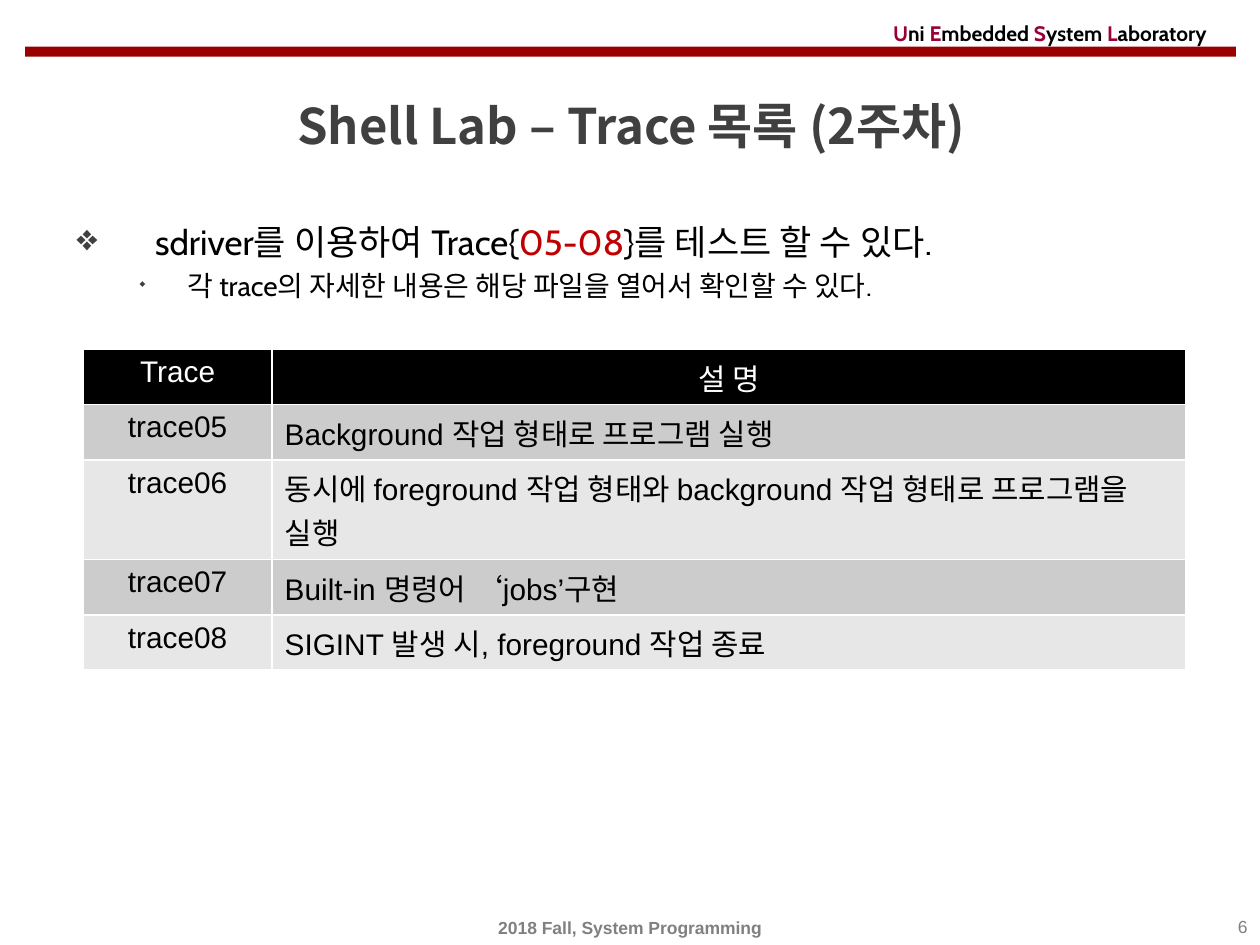
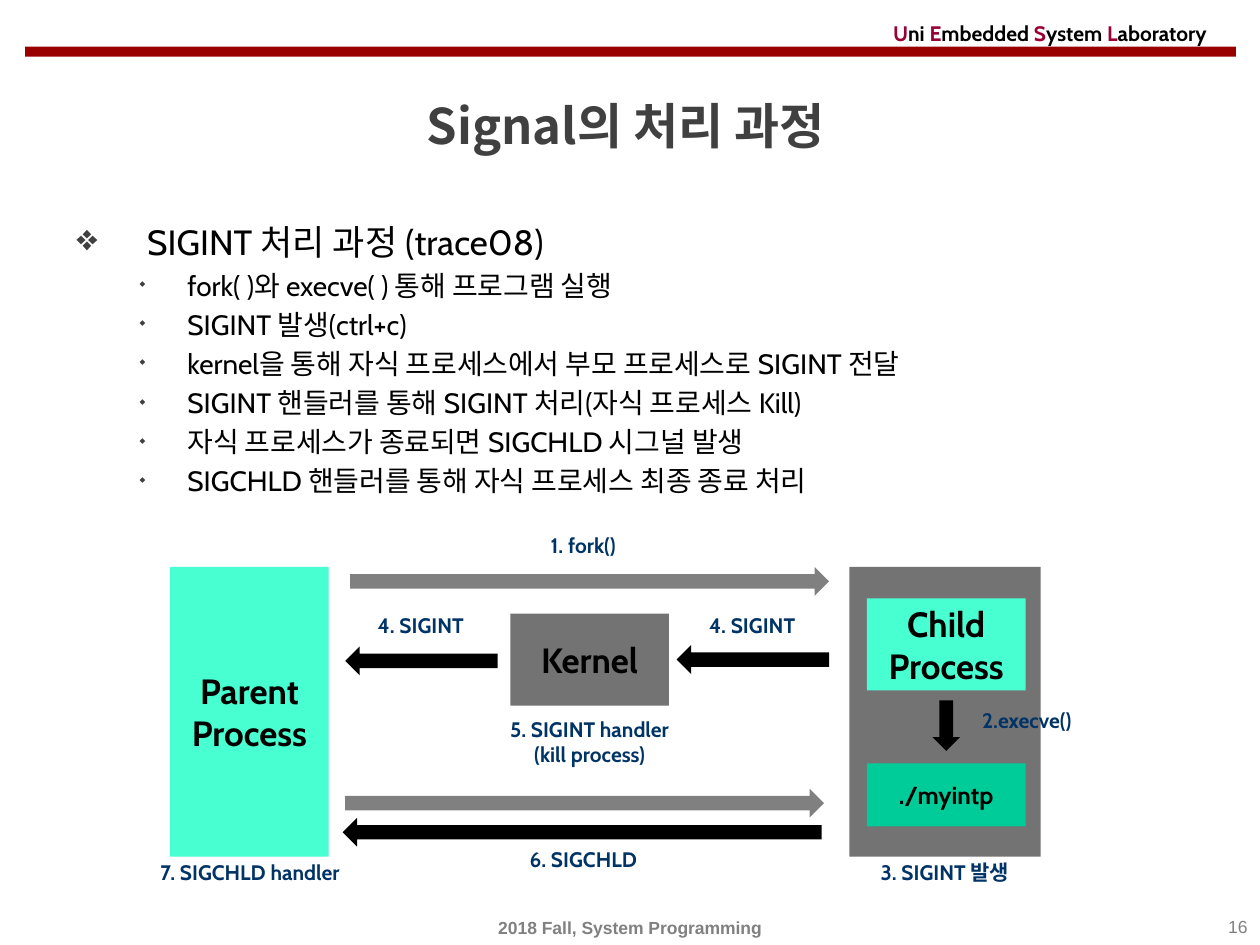
from lxml.etree import SubElement
from pptx import Presentation
from pptx.dml.color import RGBColor
from pptx.enum.shapes import MSO_SHAPE as Shape
from pptx.enum.text import MSO_ANCHOR as Anchor, PP_ALIGN as Align
from pptx.oxml.ns import qn
from pptx.util import Pt

PX = 9144
COLORS = {
    "white": "FFFFFF", "black": "000000", "bar": "990000", "initial": "990033",
    "title": "404040", "footer": "808080", "accent": "C00000", "label": "003366",
    "row_dark": "CCCCCC", "row_light": "E7E7E7", "gray": "737373",
    "arrow_gray": "808080", "mint": "47FFD1", "green": "00CC99",
}
CJK = "Noto Sans CJK KR"
BULLETS = [
    {"char": "❖", "size": 105, "text_size": 20, "left": 56, "indent": -56},
    {"char": "◆", "size": 27, "text_size": 16, "left": 88, "indent": -38},
]


def color(name):
    """Return the named palette colour."""
    return RGBColor.from_string(COLORS[name])


def px(*lengths):
    """Turn px lengths into EMU."""
    return [length * PX for length in lengths]


def write(para, text, size=12, font="Cabin", east=None, ink="black", bold=False):
    """Add one formatted span of text to a paragraph."""
    span = para.add_run()
    span.text = text
    span.font.size = Pt(size)
    span.font.bold = bold
    span.font.color.rgb = color(ink)
    span.font.name = font
    SubElement(span._r.get_or_add_rPr(), qn("a:ea"), typeface=east or font)


def fill_frame(frame, text, align=Align.CENTER, anchor=Anchor.TOP, **style):
    """Write one paragraph per line of text into a frame."""
    frame.word_wrap = True
    frame.vertical_anchor = anchor
    for index, line in enumerate(text.split("\n")):
        para = frame.add_paragraph() if index else frame.paragraphs[0]
        para.alignment = align
        write(para, line, **style)


def add_text(page, box, text, **style):
    """Add a text box with one style."""
    fill_frame(page.shapes.add_textbox(*px(*box)).text_frame, text, **style)


def add_block(page, box, fill, kind=Shape.RECTANGLE, turn=0):
    """Add a flat filled shape without outline."""
    block = page.shapes.add_shape(kind, *px(*box))
    block.shadow.inherit = False
    block.fill.solid()
    block.fill.fore_color.rgb = color(fill)
    block.line.fill.background()
    block.rotation = turn
    return block


def add_page(deck, title, number):
    """Add a slide with the shared band, title and footer."""
    page = deck.slides.add_slide(deck.slide_layouts[6])
    add_block(page, (20, 37, 961, 8), "bar")
    frame = page.shapes.add_textbox(*px(699, 12, 303, 28)).text_frame
    frame.word_wrap = True
    frame.vertical_anchor = Anchor.MIDDLE
    for word in ("Uni ", "Embedded ", "System ", "Laboratory"):
        write(frame.paragraphs[0], word[0], ink="initial", bold=True)
        write(frame.paragraphs[0], word[1:], bold=True)
    add_text(page, (21, 60, 960, 79), title, anchor=Anchor.MIDDLE,
             size=28, font=CJK, ink="title", bold=True)
    add_text(page, (0, 722, 1000, 28), "2018 Fall, System Programming",
             anchor=Anchor.MIDDLE, size=10, font="Arial", ink="footer", bold=True)
    add_text(page, (767, 722, 233, 28), str(number), align=Align.RIGHT,
             size=10, font="Arial", ink="footer")
    return page


def set_bullet(para, bullet):
    """Give a paragraph its bullet, indent and space before."""
    props = para._p.get_or_add_pPr()
    props.set("marL", str(bullet["left"] * PX))
    props.set("indent", str(bullet["indent"] * PX))
    SubElement(SubElement(props, qn("a:spcBef")), qn("a:spcPct"), val="20000")
    SubElement(SubElement(props, qn("a:buClr")), qn("a:srgbClr"), val=COLORS["title"])
    SubElement(props, qn("a:buSzPct"), val=str(bullet["size"] * 1000))
    SubElement(props, qn("a:buChar"), char=bullet["char"])


def add_bullets(page, box, items):
    """Add bulleted paragraphs, each a level and its (text, ink) spans."""
    frame = page.shapes.add_textbox(*px(*box)).text_frame
    frame.word_wrap = True
    for index, (level, spans) in enumerate(items):
        para = frame.add_paragraph() if index else frame.paragraphs[0]
        para.level = level
        set_bullet(para, BULLETS[level])
        for text, ink in spans:
            write(para, text, size=BULLETS[level]["text_size"], ink=ink)


def set_borders(cell):
    """Draw thin white borders around a cell."""
    props = cell._tc.get_or_add_tcPr()
    for side in "LRTB":
        line = SubElement(props, qn(f"a:ln{side}"), w=str(Pt(1)))
        SubElement(SubElement(line, qn("a:solidFill")), qn("a:srgbClr"),
                   val=COLORS["white"])


def add_trace_table(page, left, top, widths, rows):
    """Add the table of traces, each row a height and its texts."""
    height = sum(row_height for row_height, _ in rows)
    box = px(left, top, sum(widths), height)
    table = page.shapes.add_table(len(rows), len(widths), *box).table
    for column, width in zip(table.columns, widths):
        column.width = width * PX
    for row_index, (row_height, texts) in enumerate(rows):
        table.rows[row_index].height = row_height * PX
        header = row_index == 0
        fill = "black" if header else ("row_light", "row_dark")[row_index % 2]
        for col_index, text in enumerate(texts):
            cell = table.cell(row_index, col_index)
            set_borders(cell)
            cell.fill.solid()
            cell.fill.fore_color.rgb = color(fill)
            centered = header or col_index == 0
            fill_frame(cell.text_frame, text,
                       align=Align.CENTER if centered else Align.LEFT,
                       size=17, font="Arial", east=CJK,
                       ink="white" if header else "black")


def add_signal_diagram(page, left, top):
    """Draw the processes, signals and step labels."""
    blocks = [
        (569, 32, 152, 230, "gray", "", 20),
        (583, 57, 126, 73, "mint", "Child\nProcess", 20),
        (583, 188, 126, 50, "green", "./myintp", 14),
        (30, 32, 126, 230, "mint", "Parent\nProcess", 20),
        (300, 69, 126, 73, "gray", "Kernel", 20),
    ]
    arrows = [
        (173, 32, 380, 23, "arrow_gray", 0),
        (626, 147, 40, 22, "black", 90),
        (432, 94, 121, 23, "black", 180),
        (169, 95, 121, 23, "black", 180),
        (169, 208, 380, 23, "arrow_gray", 0),
        (167, 231, 380, 23, "black", 180),
    ]
    labels = [
        (281, 0, 154, "1. fork()"),
        (633, 139, 154, "2.execve()"),
        (568, 259, 154, "3. SIGINT 발생"),
        (415, 63, 154, "4. SIGINT"),
        (152, 63, 154, "4. SIGINT"),
        (278, 146, 170, "5. SIGINT handler (kill process)"),
        (281, 249, 154, "6. SIGCHLD"),
        (0, 259, 187, "7. SIGCHLD handler"),
    ]
    for x, y, width, height, fill, text, size in blocks:
        block = add_block(page, (left + x, top + y, width, height), fill)
        if text:
            fill_frame(block.text_frame, text, anchor=Anchor.MIDDLE,
                       size=size, bold=True)
    for x, y, width, height, fill, turn in arrows:
        add_block(page, (left + x, top + y, width, height), fill,
                  kind=Shape.RIGHT_ARROW, turn=turn)
    for x, y, width, text in labels:
        add_text(page, (left + x, top + y, width, 30), text, ink="label", bold=True)


def build_trace_page(deck, body):
    """Build the slide listing the traces of week two."""
    page = add_page(deck, "Shell Lab – Trace 목록 (2주차)", 6)
    add_bullets(page, body, [
        (0, [(" sdriver를 이용하여 Trace{", "black"), ("05-08", "accent"),
             ("}를 테스트 할 수 있다.", "black")]),
        (1, [("각 trace의 자세한 내용은 해당 파일을 열어서 확인할 수 있다.", "black")]),
    ])
    one_line, two_lines = 44, 79
    add_trace_table(page, 66, 277, (150, 725), [
        (one_line, ("Trace", "설 명")),
        (one_line, ("trace05", "Background 작업 형태로 프로그램 실행")),
        (two_lines, ("trace06", "동시에 foreground 작업 형태와 background "
                                "작업 형태로 프로그램을 실행")),
        (one_line, ("trace07", "Built-in 명령어 ‘jobs’구현")),
        (one_line, ("trace08", "SIGINT 발생 시, foreground 작업 종료")),
    ])


def build_signal_page(deck, body):
    """Build the slide explaining how signals are handled."""
    page = add_page(deck, "Signal의 처리 과정 ", 16)
    steps = [
        "fork( )와 execve( ) 통해 프로그램 실행",
        "SIGINT 발생(ctrl+c)",
        "kernel을 통해 자식 프로세스에서 부모 프로세스로 SIGINT 전달",
        "SIGINT 핸들러를 통해 SIGINT 처리(자식 프로세스 Kill)",
        "자식 프로세스가 종료되면 SIGCHLD 시그널 발생",
        "SIGCHLD 핸들러를 통해 자식 프로세스 최종 종료 처리",
    ]
    heading = (0, [("SIGINT 처리 과정 (trace08)", "black")])
    add_bullets(page, body, [heading] + [(1, [(step, "black")]) for step in steps])
    add_signal_diagram(page, 105, 418)


def main():
    """Build and save the deck."""
    deck = Presentation()
    deck.slide_width, deck.slide_height = px(1000, 750)
    body = (51, 170, 906, 528)
    build_trace_page(deck, body)
    build_signal_page(deck, body)
    deck.save("out.pptx")


if __name__ == "__main__":
    main()
